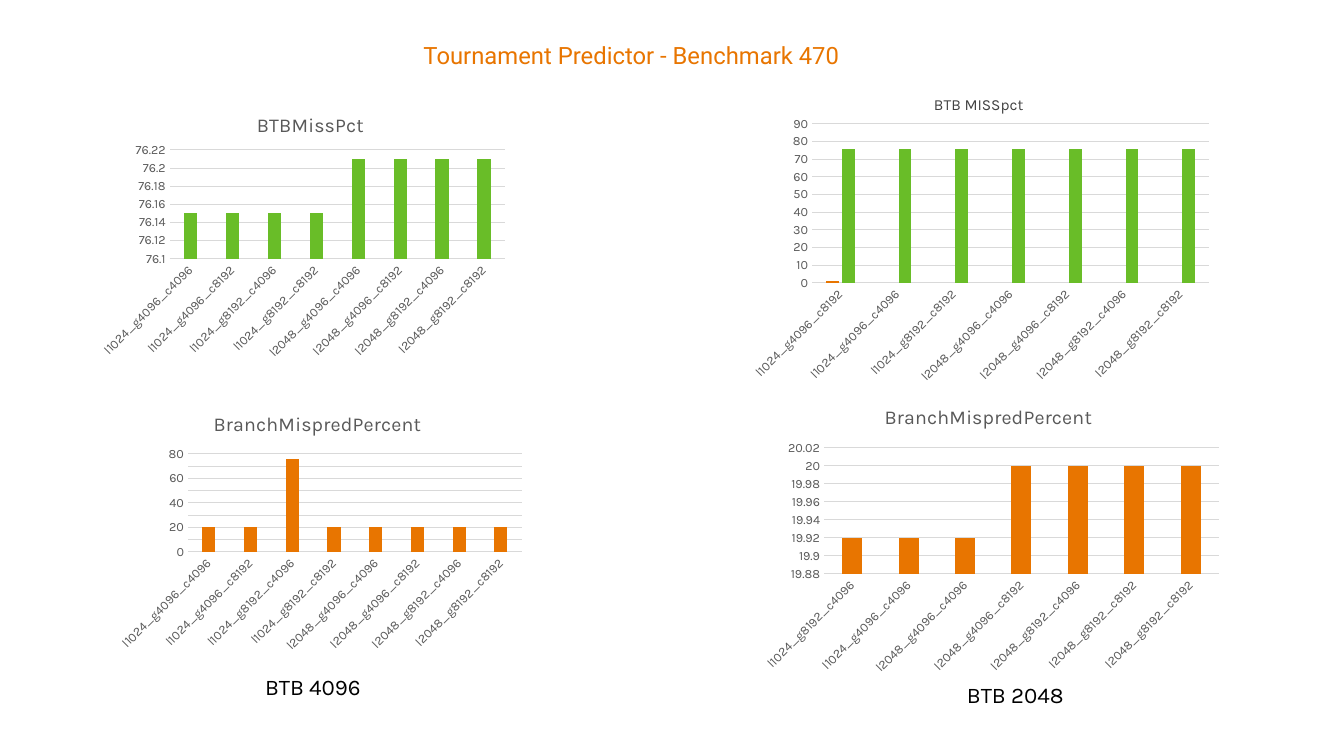
from pptx import Presentation, util as u
from pptx.chart.data import CategoryChartData
from pptx.dml.color import RGBColor
from pptx.enum import chart as charts, text
from pptx.oxml import parse_xml
from pptx.oxml.ns import nsdecls, qn

PX = 914400 / 100.8
GREEN, ORANGE, GREY, LINE = "69BD28", "E87500", "595959", "D9D9D9"
SIZES = [f"l{local}_g{glob}_c{choice}" for local in (1024, 2048)
         for glob in (4096, 8192) for choice in (4096, 8192)]
MISS_SIZES = [SIZES[i] for i in (1, 0, 3, 4, 5, 6, 7)]
MISPRED_SIZES = [SIZES[i] for i in (2, 0, 4, 5, 6, 7, 7)]


def px(length):
    """Turn pixels into EMU."""
    return u.Emu(round(length * PX))


def paint(color_format, color):
    """Give a colour format a hex colour."""
    color_format.rgb = RGBColor.from_string(color)


def set_font(font, size, color, name="Karla"):
    """Apply size, typeface and colour to a font."""
    for key, value in {"size": u.Pt(size), "name": name, "bold": False}.items():
        setattr(font, key, value)
    paint(font.color, color)


def write(shape, words, size, color, name="Karla", align=text.PP_ALIGN.LEFT):
    """Fill a text shape with one formatted paragraph."""
    frame = shape.text_frame
    values = {"margin_left": 0, "margin_top": 0, "margin_right": 0,
              "margin_bottom": 0, "word_wrap": True,
              "auto_size": text.MSO_AUTO_SIZE.NONE,
              "vertical_anchor": text.MSO_ANCHOR.TOP}
    for key, value in values.items():
        setattr(frame, key, value)
    para = frame.paragraphs[0]
    para.alignment, para.line_spacing = align, 1.2
    span = para.add_run()
    span.text = words
    set_font(span.font, size, color, name)


def add_heading(page, box, words):
    """Place the slide title in its box."""
    title = page.shapes.title
    for key, value in zip(("left", "top", "width", "height"), box):
        setattr(title, key, px(value))
    write(title, words, 17, ORANGE, "Roboto", text.PP_ALIGN.CENTER)


def add_label(page, box, words, size=16, color="000000"):
    """Place a caption in its box."""
    write(page.shapes.add_textbox(*map(px, box)), words, size, color)


def make_layout(box, place, inner=False):
    """Build a manual chart layout from pixel offsets within the box."""
    parts = ['<c:layoutTarget val="inner"/>'] if inner else []
    parts += [f'<c:{axis}Mode val="edge"/>' for axis in "xy"]
    spans = (box[2], box[3], box[2], box[3])
    parts += [f'<c:{key} val="{value / span:.4f}"/>'
              for key, value, span in zip("xywh", place, spans)]
    return parse_xml(f'<c:layout {nsdecls("c")}><c:manualLayout>'
                     f'{"".join(parts)}</c:manualLayout></c:layout>')


def replace_layout(parent, layout, position):
    """Put a layout into a chart element in place of any present one."""
    for old in parent.findall(qn("c:layout")):
        parent.remove(old)
    parent.insert(position, layout)


def style_axes(chart, low, high, step):
    """Set the scale, lines and labels of both axes."""
    sizes, values = chart.category_axis, chart.value_axis
    for axis in (sizes, values):
        axis.major_tick_mark = axis.minor_tick_mark = charts.XL_TICK_MARK.NONE
        set_font(axis.tick_labels.font, 9, GREY)
    scale = {"minimum_scale": low, "maximum_scale": high, "major_unit": step,
             "has_major_gridlines": True}
    for key, value in scale.items():
        setattr(values, key, value)
    values.tick_labels.number_format = "General"
    values.tick_labels.number_format_is_linked = False
    for line in (sizes.format.line, values.major_gridlines.format.line):
        line.width = u.Pt(0.75)
        paint(line.color, LINE)
    values.format.line.fill.background()
    body = sizes._element.find(f'{qn("c:txPr")}/{qn("a:bodyPr")}')
    body.set("rot", "-2700000")
    body.set("vert", "horz")


def add_columns(page, box, plot, sizes, series, scale, title=None, title_at=None,
                gap=219, overlap=-27):
    """Place a column chart in its box, with its plot at offsets inside it."""
    data = CategoryChartData()
    data.categories = sizes
    for number, (values, color) in enumerate(series, 1):
        data.add_series(f"Series {number}", values)
    chart = page.shapes.add_chart(charts.XL_CHART_TYPE.COLUMN_CLUSTERED,
                                  *map(px, box), data).chart
    set_font(chart.font, 10, "000000")
    chart.has_legend = False
    chart.has_title = title is not None
    if title:
        span = chart.chart_title.text_frame.paragraphs[0].add_run()
        span.text = title
        set_font(span.font, 14, GREY)
        replace_layout(chart.chart_title._element,
                       make_layout(box, title_at), 1)
    bars = chart.plots[0]
    for key, value in {"gap_width": gap, "overlap": overlap,
                       "vary_by_categories": False}.items():
        setattr(bars, key, value)
    for column, (values, color) in zip(bars.series, series):
        column.format.fill.solid()
        paint(column.format.fill.fore_color, color)
        column.invert_if_negative = False
    style_axes(chart, *scale)
    area = chart._chartSpace.find(f'{qn("c:chart")}/{qn("c:plotArea")}')
    replace_layout(area, make_layout(box, plot, True), 0)


def add_large_buffer(page, left, top):
    """Place the two charts and caption for the 4096-entry buffer."""
    add_columns(page, (left, top, 418, 267), (68, 52, 336, 109), SIZES,
                [([76.15] * 4 + [76.21] * 4, GREEN)],
                (76.1, 76.22, 0.02), "BTBMissPct", (152, 11))
    add_columns(page, (left + 10, top + 299, 419, 261), (77, 57, 334, 98), SIZES,
                [([20, 20, 76] + [20] * 5, ORANGE)],
                (0, 80, 10), "BranchMispredPercent", (99, 11))
    add_label(page, (left + 164, top + 570, 278, 29), "BTB 4096")


def add_small_buffer(page, left, top):
    """Place the two charts and captions for the 2048-entry buffer."""
    add_columns(page, (left, top + 20, 476, 277), (68, 12, 397, 159), MISS_SIZES,
                [([1] + [None] * 6, ORANGE), ([76] * 7, GREEN)], (0, 90, 10))
    add_label(page, (left + 190, top - 1, 154, 20), "BTB MISSpct", 11, "414141")
    add_columns(page, (left + 11, top + 297, 474, 292), (69, 59, 395, 126),
                MISPRED_SIZES, [([19.92] * 3 + [20] * 4, ORANGE)],
                (19.88, 20.02, 0.02), "BranchMispredPercent",
                (126, 12), 182, 0)
    add_label(page, (left + 223, top + 584, 112, 29), "BTB 2048")


def main():
    """Build the slide and save it."""
    deck = Presentation()
    deck.slide_width, deck.slide_height = px(1344), px(756)
    page = deck.slides.add_slide(deck.slide_layouts[5])
    add_heading(page, (234, 35, 795, 31), "Tournament Predictor - Benchmark 470")
    add_large_buffer(page, 101, 98)
    add_small_buffer(page, 744, 92)
    deck.save("out.pptx")


if __name__ == "__main__":
    main()
